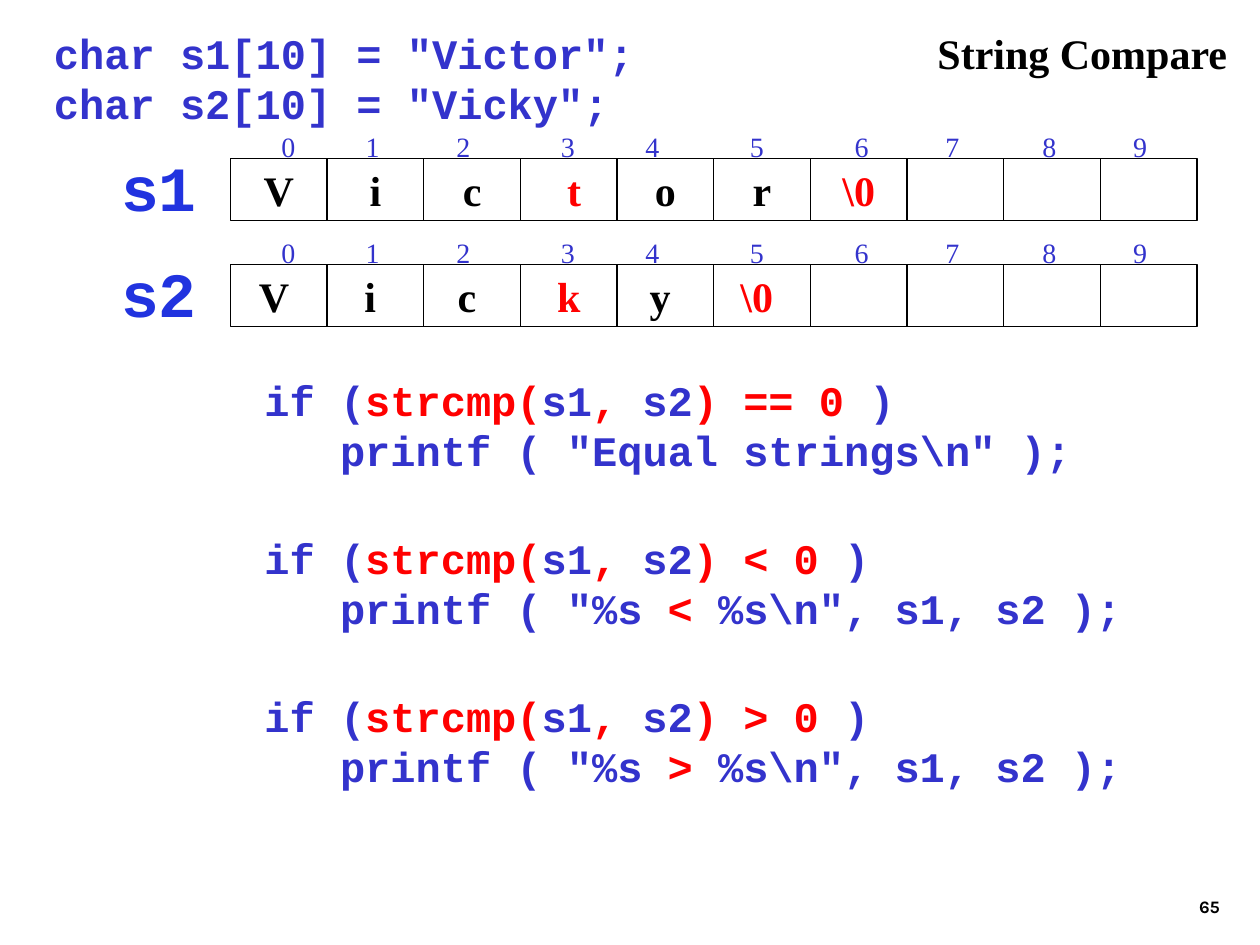
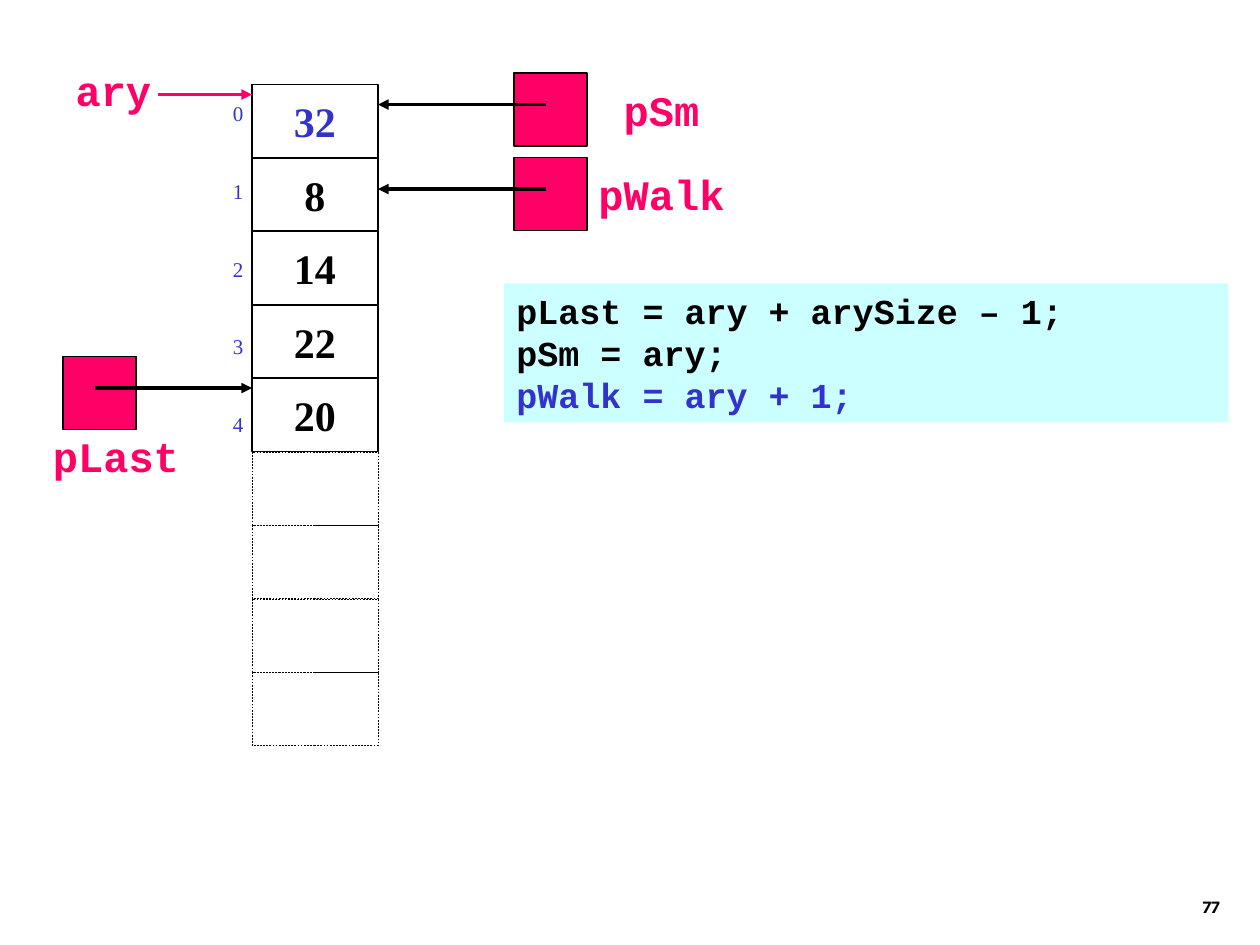
import lxml.etree
import pptx
import pptx.dml.color
import pptx.enum.dml
import pptx.enum.shapes
import pptx.enum.text
import pptx.oxml.ns
import pptx.util

Inches = pptx.util.Inches
Pt = pptx.util.Pt
qn = pptx.oxml.ns.qn
Align = pptx.enum.text.PP_ALIGN
Anchor = pptx.enum.text.MSO_ANCHOR
Dash = pptx.enum.dml.MSO_LINE
Shape = pptx.enum.shapes.MSO_SHAPE
Connector = pptx.enum.shapes.MSO_CONNECTOR

COLORS = {
    "ink": "000000",
    "code": "3333CC",
    "accent": "FF0000",
    "label": "2133DF",
    "pointer": "FF0066",
    "panel": "CCFFFF",
}
CODE_FONT = "Courier New"
BODY_FONT = "Times New Roman"
NUMBER_FONT = "Karla"
SIDE = 0.58
ROW_PITCH = 7 / 12


def rgb(name):
    return pptx.dml.color.RGBColor.from_string(COLORS[name])


def write(box, text, font=BODY_FONT, size=24, color="ink", bold=True, align=Align.LEFT,
          anchor=Anchor.TOP, wrap=False, gap=0, tabs=()):
    """Each line is a paragraph; text between a pair of bars takes the accent colour."""
    frame = box.text_frame
    frame.word_wrap = wrap
    frame.auto_size = pptx.enum.text.MSO_AUTO_SIZE.NONE
    frame.vertical_anchor = anchor
    frame.margin_left = frame.margin_right = Inches(0.1)
    frame.margin_top = frame.margin_bottom = Inches(0.05)
    for row, line in enumerate(text.split("\n")):
        para = frame.add_paragraph() if row else frame.paragraphs[0]
        para.alignment = align
        para.space_before = Pt(gap if row else 0)
        if tabs:
            stops = lxml.etree.SubElement(para._p.get_or_add_pPr(), qn("a:tabLst"))
            for stop in tabs:
                lxml.etree.SubElement(stops, qn("a:tab"), pos=str(Inches(stop)), algn="ctr")
        for part, words in enumerate(line.split("|")):
            if words:
                span = para.add_run()
                span.text = words
                span.font.name = font
                span.font.size = Pt(size)
                span.font.bold = bold
                span.font.color.rgb = rgb("accent" if part % 2 else color)


def add_text(page, box, text, **style):
    label = page.shapes.add_textbox(*map(Inches, box))
    write(label, text, **style)


def add_rect(page, box, fill=None, line=0.75, dash=None):
    rect = page.shapes.add_shape(Shape.RECTANGLE, *map(Inches, box))
    rect.shadow.inherit = False
    if fill:
        rect.fill.solid()
        rect.fill.fore_color.rgb = rgb(fill)
    else:
        rect.fill.background()
    if line:
        rect.line.color.rgb = rgb("ink")
        rect.line.width = Pt(line)
        if dash:
            rect.line.dash_style = dash
    else:
        rect.line.fill.background()
    return rect


def add_cell(page, box, text, color="ink"):
    write(add_rect(page, box), text, color=color, align=Align.CENTER, anchor=Anchor.MIDDLE)


def add_arrow(page, start, end, color="ink"):
    arrow = page.shapes.add_connector(Connector.STRAIGHT, *map(Inches, (*start, *end)))
    arrow.line.color.rgb = rgb(color)
    arrow.line.width = Pt(2)
    properties = arrow.element.spPr
    lxml.etree.SubElement(properties.find(qn("a:ln")), qn("a:tailEnd"), type="triangle")
    lxml.etree.SubElement(properties, qn("a:effectLst"))


def add_page_number(page, number):
    add_text(page, (7.7, 6.83, 2.08, 0.5), str(number), font=NUMBER_FONT, size=10,
             align=Align.RIGHT, anchor=Anchor.BOTTOM, wrap=True)


def add_title(page, box, text):
    title = page.shapes.title
    title.left, title.top, title.width, title.height = map(Inches, box)
    write(title, text)


def add_char_array(page, box, name, letters):
    left, top, width, height = box
    cell_width = width / 10
    stops = (0.36, 1.03, 1.75, 2.58, 3.25, 4.08, 4.91, 5.63, 6.4, 7.12)
    indexes = "".join(f"\t{index}" for index in range(10))
    add_text(page, (left, top - 0.34, width, height), indexes, size=16, color="code",
             bold=False, anchor=Anchor.MIDDLE, wrap=True, tabs=stops)
    for index in range(10):
        letter = letters[index] if index < len(letters) else ""
        add_cell(page, (left + index * cell_width, top, cell_width, height), letter)
    add_text(page, (left - 0.97, top - 0.13, 0.8, 0.7), name, font=CODE_FONT, size=36,
             color="label", align=Align.RIGHT)


def add_comparison(page, box, operator, output):
    condition = f"if (|strcmp(|s1|,| s2|) {operator} 0 |)"
    add_text(page, box, f"{condition}\n   printf ( {output} );", font=CODE_FONT,
             color="code", wrap=True)


def add_memory_column(page, box, values, spare):
    left, top, width, height = box
    for row, value in enumerate(values):
        add_cell(page, (left, top + row * ROW_PITCH, width, height), value,
                 color="ink" if row else "code")
    for row in range(len(values), len(values) + spare):
        add_rect(page, (left, top + row * ROW_PITCH, width, height), line=0.25, dash=Dash.DASH)
    indexes = "\n".join(str(row) for row in range(len(values)))
    add_text(page, (left - 0.25, top + 0.08, 0.42, 2.74), indexes, size=12, color="code",
             bold=False, wrap=True, gap=30)


def add_pointer_label(page, box, text):
    add_text(page, box, text, font=CODE_FONT, color="pointer", align=Align.CENTER,
             anchor=Anchor.MIDDLE)


def add_pointer(page, box, name, label_offset, target):
    left, top, width, height = box
    add_pointer_label(page, (left + label_offset[0], top + label_offset[1], 1, height), name)
    add_rect(page, box, fill="pointer")
    add_arrow(page, (left + 0.25, top + 0.25), (target, top + 0.25))


def build_string_compare(deck):
    page = deck.slides.add_slide(deck.slide_layouts[5])
    add_title(page, (7.34, 0.17, 2.5, 0.5), "String Compare")
    add_text(page, (0.33, 0.17, 7.42, 1.3),
             'char s1[10] = "Victor";\nchar s2[10] = "Vicky";',
             font=CODE_FONT, color="code", wrap=True)
    arrays = (
        ("s1", ("V", "i", "c", " |t", "o", "r", "|\\0")),
        ("s2", ("V ", "i ", "c ", " |k ", "y ", "|\\0 ")),
    )
    for row, (name, letters) in enumerate(arrays):
        add_char_array(page, (1.83, 1.26 + row * 0.84, 7.67, 0.49), name, letters)
    comparisons = (
        ("==", '"Equal strings\\n"'),
        ("<", '"%s |<| %s\\n", s1, s2'),
        (">", '"%s |>| %s\\n", s1, s2'),
    )
    for row, (operator, output) in enumerate(comparisons):
        add_comparison(page, (2, 2.92 + row * 1.255, 7.08, 0.9), operator, output)
    add_page_number(page, 65)


def build_pointer_walk(deck):
    page = deck.slides.add_slide(deck.slide_layouts[6])
    add_memory_column(page, (2, 0.67, 1, SIDE), ("32", "8", "14", "22", "20"), spare=4)
    add_pointer_label(page, (0.5, 0.42, 1, SIDE), "ary ")
    add_arrow(page, (1.25, 0.75), (2, 0.75), color="pointer")
    pointers = (
        ("pLast", 0.5, 2.83, (-0.08, 0.5), 2),
        ("pWalk", 4.08, 1.25, (0.67, 0), 3),
        ("pSm", 4.08, 0.58, (0.67, 0), 3),
    )
    for name, left, top, label_offset, target in pointers:
        add_pointer(page, (left, top, SIDE, SIDE), name, label_offset, target)
    panel = add_rect(page, (4, 2.25, 5.75, 1.1), fill="panel", line=None)
    write(panel, "pLast = ary + arySize – 1;\npSm = ary;", font=CODE_FONT, size=20, wrap=True)
    para = panel.text_frame.add_paragraph()
    para.alignment = Align.LEFT
    span = para.add_run()
    span.text = "pWalk = ary + 1;"
    span.font.name = CODE_FONT
    span.font.size = Pt(20)
    span.font.bold = True
    span.font.color.rgb = rgb("code")
    add_page_number(page, 77)


def main():
    deck = pptx.Presentation()
    deck.slide_width = Inches(10)
    deck.slide_height = Inches(7.5)
    build_string_compare(deck)
    build_pointer_walk(deck)
    deck.save("out.pptx")


if __name__ == "__main__":
    main()
